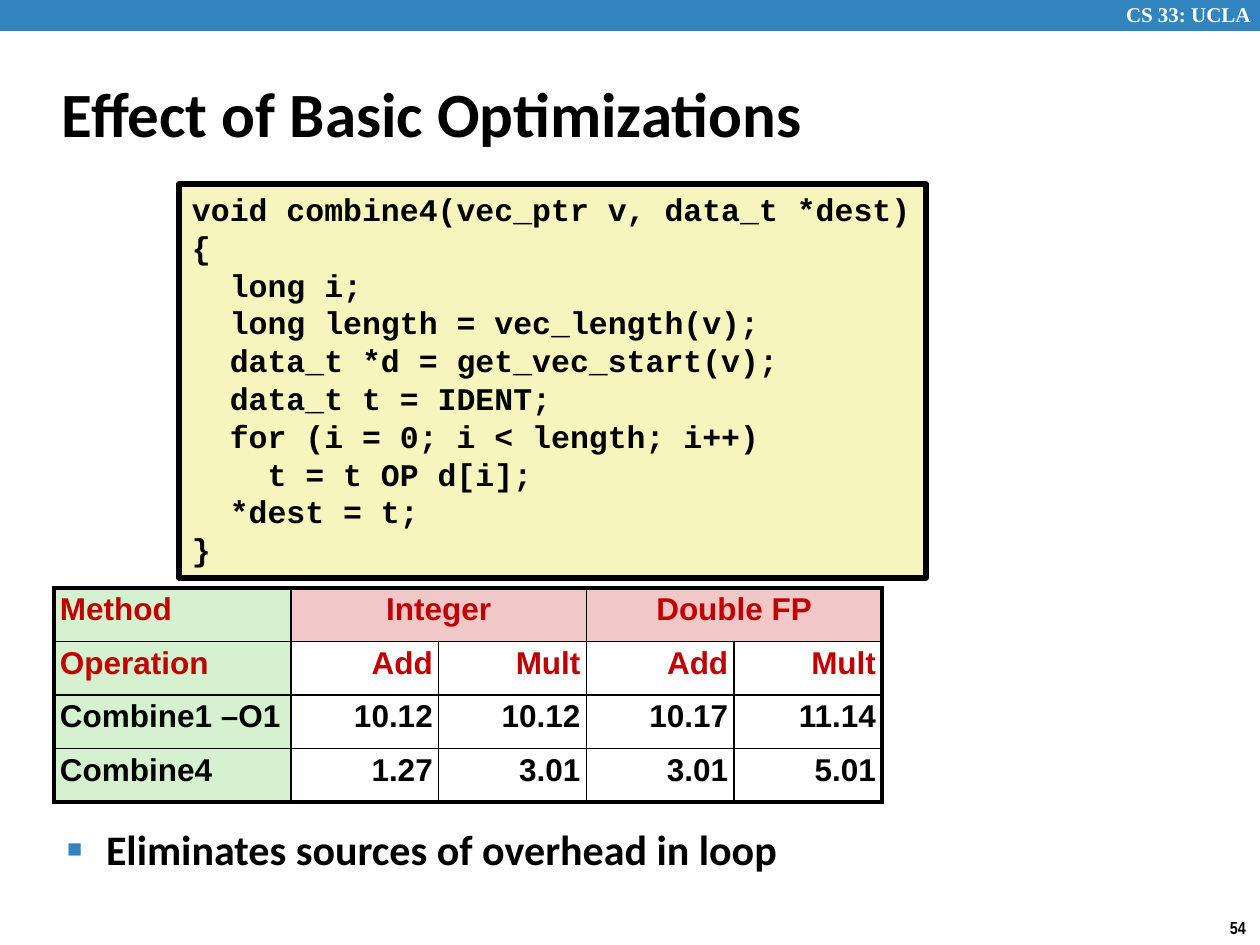
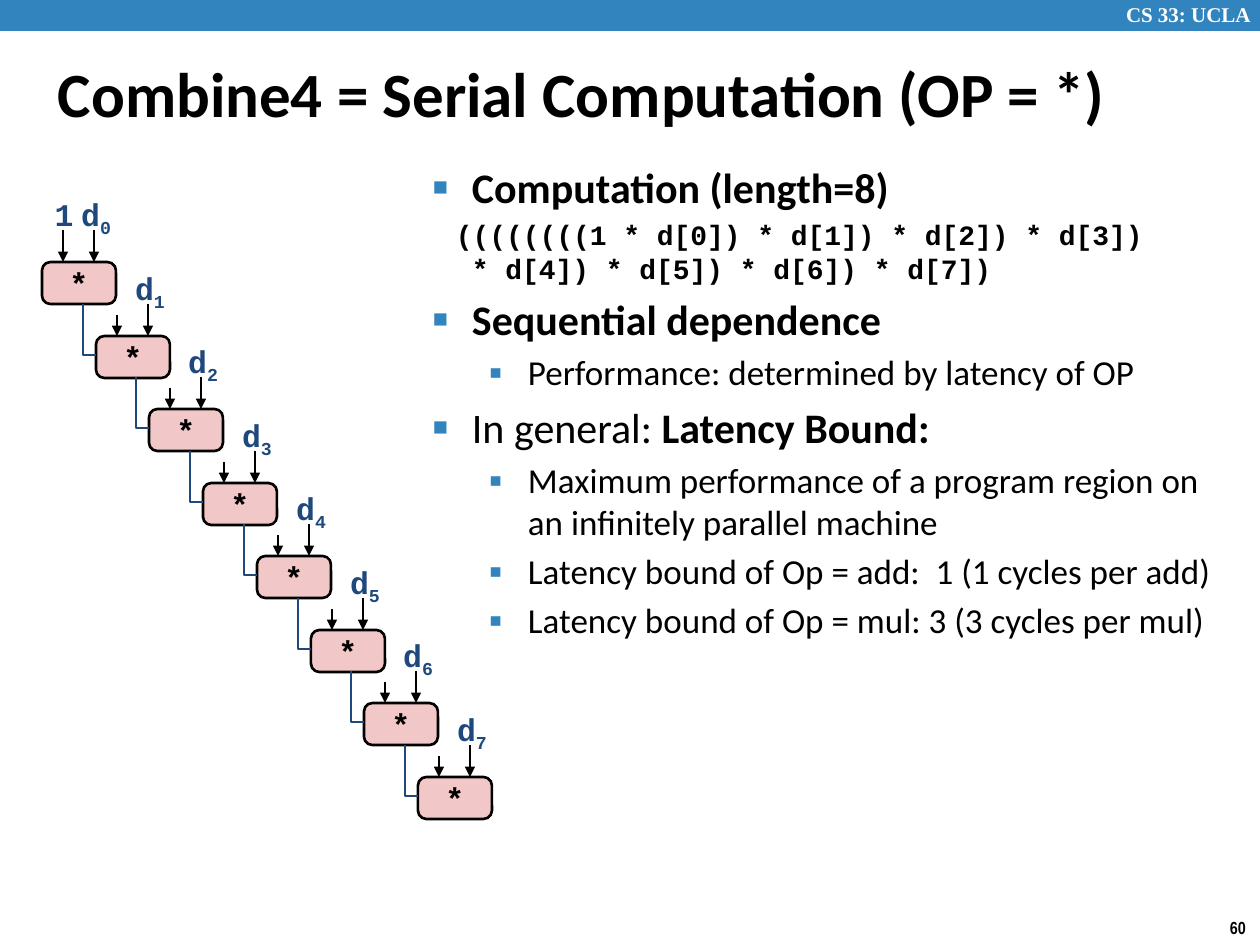
from lxml.etree import SubElement
from pptx import Presentation
from pptx.dml.color import RGBColor
from pptx.enum.shapes import MSO_CONNECTOR, MSO_SHAPE
from pptx.enum.text import MSO_ANCHOR, PP_ALIGN
from pptx.oxml.ns import qn
from pptx.util import Emu, Pt

PX_PER_INCH = 126
BLUE, NAVY, BLACK, WHITE = "3284BF", "1F497D", "000000", "FFFFFF"
PINK, GREEN, CREAM, RED = "F1C7C7", "D5F1CF", "F6F5BD", "C00000"
HEADING, MONO, SANS = "Calibri", "Courier New", "Arial"

CODE = """void combine4(vec_ptr v, data_t *dest)
{
  long i;
  long length = vec_length(v);
  data_t *d = get_vec_start(v);
  data_t t = IDENT;
  for (i = 0; i < length; i++)
    t = t OP d[i];
  *dest = t;
}"""

CYCLES = [
    ["Method", "Integer", "", "Double FP", ""],
    ["Operation", "Add", "Mult", "Add", "Mult"],
    ["Combine1 –O1", "10.12", "10.12", "10.17", "11.14"],
    ["Combine4", "1.27", "3.01", "3.01", "5.01"],
]

# Each point: kind, then (text, bold) runs
LATENCY_POINTS = [
    ("main", [("Computation (length=8)", True)]),
    ("code", [("((((((((1 * d[0]) * d[1]) * d[2]) * d[3]) \v* d[4]) * d[5]) * d[6]) * d[7])", True)]),
    ("main", [("Sequential dependence", True)]),
    ("sub", [("Performance: determined by latency of OP", False)]),
    ("main", [("In general:", False), (" Latency Bound:", True)]),
    ("sub", [("Maximum performance of a program region on an infinitely parallel machine", False)]),
    ("sub", [("Latency bound of Op = add:  1 (1 cycles per add)", False)]),
    ("sub", [("Latency bound of Op = mul: 3 (3 cycles per mul)", False)]),
]

# kind: (left margin, first-line indent, size, font, bullet, bullet percent)
POINT_STYLES = {
    "main": (39, -39, 24, HEADING, "■", 60),
    "code": (39, -16, 16, MONO, None, None),
    "sub": (95, -39, 20, HEADING, "▪", 110),
}


def px(length):
    return Emu(round(length * 914400 / PX_PER_INCH))


def color(hex_string):
    return RGBColor.from_string(hex_string)


def set_font(font, name, size, hex_string, bold=True):
    font.name, font.size, font.bold = name, Pt(size), bold
    font.color.rgb = color(hex_string)


def set_insets(target, across, down):
    target.margin_left = target.margin_right = px(across)
    target.margin_top = target.margin_bottom = px(down)


def add_text(slide, box, text, style, anchor=MSO_ANCHOR.TOP, align=PP_ALIGN.LEFT,
             wrap=True, insets=(13, 6)):
    shape = slide.shapes.add_textbox(*map(px, box))
    fill_text(shape, text, style, anchor, align, wrap, insets)
    return shape


def fill_text(shape, text, style, anchor, align, wrap=False, insets=(13, 6)):
    frame = shape.text_frame
    frame.word_wrap, frame.vertical_anchor = wrap, anchor
    set_insets(frame, *insets)
    frame.text = text
    for paragraph in frame.paragraphs:
        paragraph.alignment = align
        set_font(paragraph.font, *style)


def add_box(slide, kind, box, fill, line_width=None):
    shape = slide.shapes.add_shape(kind, *map(px, box))
    shape.shadow.inherit = False
    shape.fill.solid()
    shape.fill.fore_color.rgb = color(fill)
    if line_width:
        shape.line.color.rgb = color(BLACK)
        shape.line.width = Pt(line_width)
    else:
        shape.line.fill.background()
    return shape


def add_frame(presentation, title, title_box, number):
    """Slide with the band, course name, title and page number."""
    slide = presentation.slides.add_slide(presentation.slide_layouts[6])
    add_box(slide, MSO_SHAPE.RECTANGLE, (0, 0, 1260, 31), BLUE)
    add_text(slide, (1113, -4, 156, 38), "CS 33: UCLA", ("Times New Roman", 12, WHITE))
    add_text(slide, (1217, 911, 43, 34), number, ("Arial Narrow", 10, BLACK), wrap=False)
    add_text(slide, title_box, title, (HEADING, 36, BLACK), MSO_ANCHOR.MIDDLE)
    return slide


def set_bullet(paragraph, character, percent):
    properties = paragraph._p.get_or_add_pPr()
    bullet_color = SubElement(properties, qn("a:buClr"))
    SubElement(bullet_color, qn("a:srgbClr"), val=BLUE)
    SubElement(properties, qn("a:buSzPct"), val=str(percent * 1000))
    SubElement(properties, qn("a:buFont"), typeface=SANS)
    SubElement(properties, qn("a:buChar"), char=character)


def add_points(slide, box, points):
    frame = slide.shapes.add_textbox(*map(px, box)).text_frame
    frame.word_wrap = True
    set_insets(frame, 13, 6)
    for index, (kind, runs) in enumerate(points):
        margin, indent, size, font, bullet, percent = POINT_STYLES[kind]
        paragraph = frame.add_paragraph() if index else frame.paragraphs[0]
        properties = paragraph._p.get_or_add_pPr()
        properties.set("marL", str(px(margin)))
        properties.set("indent", str(px(indent)))
        if bullet:
            set_bullet(paragraph, bullet, percent)
        if index:
            paragraph.space_before = Pt(size * 0.2)
        set_font(paragraph.font, font, size, BLACK, runs[0][1])
        for position, (text, bold) in enumerate(runs):
            # A line break arrives as a vertical tab
            for part, line in enumerate(text.split("\v")):
                if part:
                    paragraph.add_line_break()
                run = paragraph.add_run()
                run.text = line
                if position:
                    run.font.bold = bold


def set_borders(cell, widths):
    properties = cell._tc.get_or_add_tcPr()
    for index, (side, width) in enumerate(widths.items()):
        line = properties.makeelement(qn(f"a:ln{side}"), {"w": str(Pt(width))})
        fill = SubElement(line, qn("a:solidFill"))
        SubElement(fill, qn("a:srgbClr"), val=BLACK)
        properties.insert(index, line)


def add_cycle_table(slide, box, rows):
    row_count, column_count = len(rows), len(rows[0])
    last_row, last_column = row_count - 1, column_count - 1
    table = slide.shapes.add_table(row_count, column_count, *map(px, box)).table
    label_width = 237
    for index, column in enumerate(table.columns):
        column.width = px((box[2] - label_width) / last_column if index else label_width)
    for row in table.rows:
        row.height = px(box[3] / row_count)
    for first in (1, 3):
        table.cell(0, first).merge(table.cell(0, first + 1))
    for r, row in enumerate(rows):
        for c, text in enumerate(row):
            cell = table.cell(r, c)
            set_insets(cell, 6, 6)
            cell.fill.solid()
            cell.fill.fore_color.rgb = color(GREEN if c == 0 else PINK if r == 0 else WHITE)
            set_borders(cell, {
                "L": 2.25 if c == 0 else 1,
                "R": 2.25 if c == last_column or (r == 0 and c == 3) else 1,
                "T": 2.25 if r == 0 else 1,
                "B": 2.25 if r == last_row else 1,
            })
            if cell.is_spanned:
                continue
            cell.text = text
            paragraph = cell.text_frame.paragraphs[0]
            paragraph.line_spacing = 0.95
            paragraph.alignment = (PP_ALIGN.LEFT if c == 0 else
                                   PP_ALIGN.CENTER if r == 0 else PP_ALIGN.RIGHT)
            set_font(paragraph.font, SANS, 18, RED if r < 2 else BLACK)


def add_code(slide, box, code):
    panel = add_box(slide, MSO_SHAPE.RECTANGLE, box, CREAM, 3)
    fill_text(panel, code, (MONO, 18, BLACK), MSO_ANCHOR.TOP, PP_ALIGN.LEFT)


def add_down_arrow(slide, x, top, bottom):
    arrow = slide.shapes.add_connector(MSO_CONNECTOR.STRAIGHT, px(x), px(top), px(x), px(bottom))
    arrow.line.color.rgb = color(BLACK)
    arrow.line.width = Pt(1.5)
    SubElement(arrow.line._get_or_add_ln(), qn("a:tailEnd"), type="triangle")
    SubElement(arrow._element.spPr, qn("a:effectLst"))


def add_elbow(slide, left, top, right, bottom):
    builder = slide.shapes.build_freeform(px(left), px(top))
    builder.add_line_segments([(px(left), px(bottom)), (px(right), px(bottom))], close=False)
    elbow = builder.convert_to_shape()
    elbow.shadow.inherit = False
    elbow.fill.background()
    elbow.line.color.rgb = color(NAVY)
    elbow.line.width = Pt(1.5)


def add_operand(slide, box, letter, subscript=""):
    shape = add_text(slide, box, letter, (MONO, 18, NAVY), align=PP_ALIGN.CENTER,
                     wrap=False, insets=(6, 6))
    if subscript:
        run = shape.text_frame.paragraphs[0].add_run()
        run.text = subscript
        run._r.get_or_add_rPr().set("baseline", "-25000")


def add_multiply_chain(slide, box, count):
    """Staircase of multiply nodes; box runs from first node to last node."""
    left, top, width, height = box
    node_width, node_height = 74, 42
    for index in range(count):
        x = left + round((width - node_width) * index / (count - 1))
        y = top + round((height - node_height) * index / (count - 1))
        node = add_box(slide, MSO_SHAPE.ROUNDED_RECTANGLE,
                       (x, y, node_width, node_height), PINK, 1.5)
        node.adjustments[0] = 0.2
        fill_text(node, "*", (MONO, 18, BLACK), MSO_ANCHOR.MIDDLE, PP_ALIGN.CENTER)
        add_down_arrow(slide, x + 21, y - (21 if index else 32), y)
        add_down_arrow(slide, x + 52, y - 32, y)
        add_operand(slide, (x + 32, y - 73, 44, 50), "d", str(index))
        if index:
            add_elbow(slide, x - 13, y - 32, x, y + 19)
        else:
            add_operand(slide, (x + 6, y - 73, 32, 50), "1")


def build_optimizations(presentation):
    slide = add_frame(presentation, "Effect of Basic Optimizations", (49, 60, 1046, 105), "54")
    add_points(slide, (54, 818, 1089, 74),
               [("main", [("Eliminates sources of overhead in loop", True)])])
    add_code(slide, (179, 184, 747, 394), CODE)
    add_cycle_table(slide, (54, 588, 828, 214), CYCLES)


def build_serial_computation(presentation):
    slide = add_frame(presentation, "Combine4 = Serial Computation (OP = *)",
                      (45, 39, 1194, 107), "60")
    add_points(slide, (420, 156, 808, 504), LATENCY_POINTS)
    add_multiply_chain(slide, (42, 262, 450, 557), 8)


def main():
    presentation = Presentation()
    presentation.slide_width, presentation.slide_height = px(1260), px(945)
    build_optimizations(presentation)
    build_serial_computation(presentation)
    presentation.save("out.pptx")


if __name__ == "__main__":
    main()
